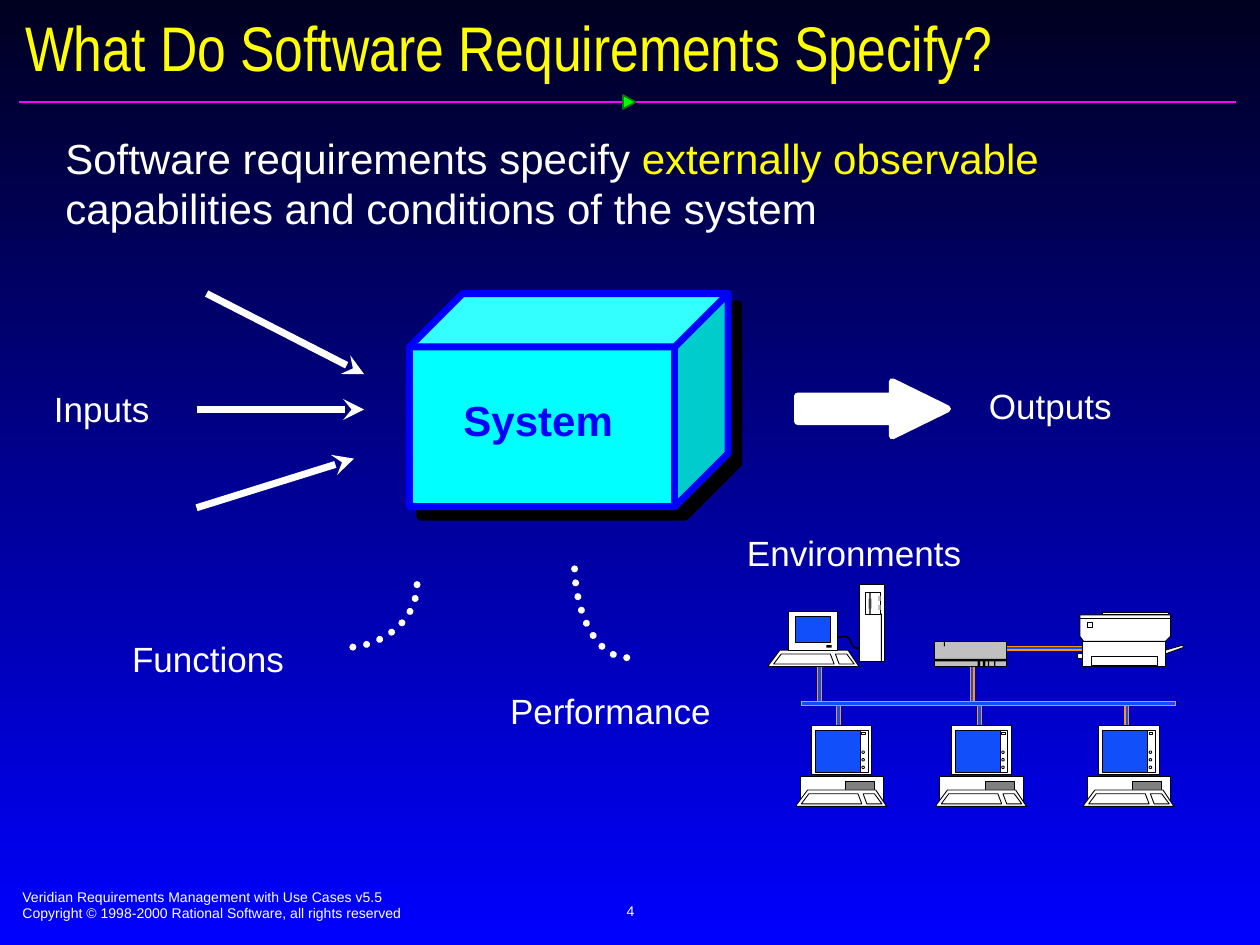
from lxml import etree
from pptx import Presentation
from pptx import util as u
from pptx.dml.color import RGBColor
from pptx.enum import dml, shapes, text
from pptx.oxml.ns import qn

# The slide is a grid of 100 columns by 75 rows; all lengths are in cells
CELL = u.Inches(0.1)
KIND = shapes.MSO_SHAPE
WHITE, BLACK, YELLOW, BLUE = "FFFFFF", "000000", "FFFF00", "0000FF"
SCREEN, ORANGE, SILVER, GRAY = "114FFB", "FF9900", "C0C0C0", "808080"


def cells(*values):
    return [u.Emu(round(v * CELL)) for v in values]


def rgb(code):
    return RGBColor.from_string(code)


def paint(shape, fill=None, line=None, width=0.5):
    shape.shadow.inherit = False
    if fill:
        shape.fill.solid()
        shape.fill.fore_color.rgb = rgb(fill)
    else:
        shape.fill.background()
    if line:
        shape.line.color.rgb = rgb(line)
        shape.line.width = u.Pt(width)
    else:
        shape.line.fill.background()
    return shape


def block(parent, box, fill=WHITE, line=BLACK, width=0.5, kind=KIND.RECTANGLE):
    return paint(parent.shapes.add_shape(kind, *cells(*box)), fill, line, width)


def outline(parent, points, fill=WHITE, line=BLACK, width=0.5, origin=(0, 0), close=True):
    corners = [cells(origin[0] + x, origin[1] + y) for x, y in points]
    builder = parent.shapes.build_freeform(*corners[0], scale=1.0)
    builder.add_line_segments(corners[1:], close=close)
    return paint(builder.convert_to_shape(), fill, line, width)


def rule(parent, start, end, color, width, arrow=False):
    line = parent.shapes.add_connector(
        shapes.MSO_CONNECTOR.STRAIGHT, *cells(*start, *end))
    line.line.color.rgb = rgb(color)
    line.line.width = u.Pt(width)
    if arrow:
        etree.SubElement(line.line._get_or_add_ln(), qn("a:tailEnd"), type="stealth")
    etree.SubElement(line._element.spPr, qn("a:effectLst"))


def write(paragraph, runs, size, font="Arial", bold=False):
    for words, color in runs:
        run = paragraph.add_run()
        run.text = words
        run.font.size, run.font.name, run.font.bold = u.Pt(size), font, bold
        run.font.color.rgb = rgb(color)


def label(slide, box, lines, size=20, wrap=False, bold=False):
    frame = slide.shapes.add_textbox(*cells(*box)).text_frame
    frame.word_wrap = wrap
    for i, runs in enumerate(lines):
        paragraph = frame.add_paragraph() if i else frame.paragraphs[0]
        write(paragraph, runs, size, bold=bold)
    return frame


def dotted_arc(slide, box, start, end):
    arc = block(slide, box, None, WHITE, 4, KIND.ARC)
    # Angles are in 60000ths of a degree, adjustments in 100000ths
    arc.adjustments[0], arc.adjustments[1] = start * 0.6, end * 0.6
    arc.line.dash_style = dml.MSO_LINE.ROUND_DOT
    arc.line._get_or_add_ln().set("cap", "rnd")


def keyboard(group, x, y):
    for points in (
            [(0.9, 0), (6.3, 0), (7.1, 1.2), (7.2, 1.3), (0, 1.3), (0, 1.2)],
            [(1, 0.3), (4.9, 0.3), (5.2, 1.1), (0.4, 1.1)],
            [(5.3, 0.3), (6.2, 0.3), (6.8, 1.1), (5.6, 1.1)]):
        outline(group, points, origin=(x, y))


def workstation(slide, x, y):
    group = slide.shapes.add_group_shape()
    block(group, (x + 0.3, y + 4, 6.6, 2))
    block(group, (x + 3.9, y + 4.4, 2.3, 0.9), GRAY)
    keyboard(group, x, y + 5.1)
    block(group, (x + 1.2, y, 4.8, 3.9))
    block(group, (x + 1.5, y + 0.4, 4.1, 3.3), SCREEN)
    block(group, (x + 5.1, y + 0.4, 0.6, 3.3))
    block(group, (x + 5.2, y + 0.5, 0.3, 0.2))
    for knob in range(3):
        block(group, (x + 5.2, y + 2 + 0.6 * knob, 0.2, 0.2), kind=KIND.OVAL)


def hub(slide):
    group = slide.shapes.add_group_shape()
    block(group, (74.2, 50.9, 5.7, 2), SILVER)
    block(group, (74.2, 52.3, 5.7, 0.2), BLACK, None)
    for x, width in ((77.6, 0.2), (78, 0.2), (78.4, 0.1), (78.9, 0.1)):
        block(group, (x, 52.4, width, 0.5), BLACK, None)
    block(group, (74.9, 50.8, 0.1, 0.5), BLACK, None)


def printer(slide):
    group = slide.shapes.add_group_shape()
    block(group, (85.9, 50.9, 6.6, 2))
    block(group, (86.6, 52.1, 5.3, 0.7))
    outline(group, [(85.7, 50.5), (86, 50.9), (92.5, 50.9),
                    (92.9, 50.5), (92.9, 48.8), (85.7, 48.8)])
    block(group, (85.5, 51.9, 0.4, 0.4))
    rule(group, (85.7, 49.1), (93, 49.1), BLACK, 0.5)
    block(group, (87.5, 48.6, 5.2, 0.2))
    outline(group, [(92.5, 51.6), (93.9, 51.2), (93.9, 51.4), (92.5, 51.9)])
    block(group, (86.3, 49.4, 0.4, 0.4))


def server(slide):
    group = slide.shapes.add_group_shape()
    outline(group, [(66.4, 50.6), (67.1, 50.5), (67.3, 50.6), (67.4, 50.7),
                    (67.6, 51.1), (67.8, 51.4), (68.4, 51.5)],
            fill=None, width=0.88, close=False)
    keyboard(group, 61, 51.6)
    block(group, (62.6, 48.5, 3.9, 3.1))
    block(group, (63.1, 48.9, 2.8, 2.1), SCREEN)
    block(group, (65.6, 51.2, 0.4, 0.2), BLACK, None)
    # Tower with its drive bay
    block(group, (68.2, 46.4, 2, 6.1))
    block(group, (68.7, 47, 1.2, 1.8))
    for box, color in (((69.9, 48.7, 0.1, 3.9), BLACK), ((68.9, 47.5, 0.3, 0.8), SILVER),
                       ((69, 47, 0.1, 1.8), BLACK), ((69.7, 47.3, 0.2, 0.4), SILVER),
                       ((69.7, 48, 0.2, 0.4), SILVER)):
        block(group, box, color, None)


def network(slide):
    # Cables: drops below and above the bus, the printer link, the bus itself
    drops = [(x, 55.8, 0.3, 3.3) for x in (89.3, 77.6, 66.4)]
    rises = [(x, 52.6, 0.3, 3.2) for x in (77, 64.9)]
    for box in drops + rises + [(78.3, 51.3, 8.1, 0.3), (63.6, 55.7, 29.7, 0.3)]:
        block(slide, box, SCREEN, ORANGE, 0.75)
    hub(slide)
    printer(slide)
    server(slide)
    for x in (63.2, 74.3, 86):
        workstation(slide, x, 57.6)


def system(slide):
    cube = block(slide, (32.5, 23.3, 25.3, 16.9), "00FFFF", BLUE, 4, KIND.CUBE)
    cube.adjustments[0] = 0.25
    effects = cube._element.spPr.find(qn("a:effectLst"))
    shadow = etree.SubElement(effects, qn("a:outerShdw"), dist=str(u.Pt(8.5)),
                              dir=str(45 * 60000), algn="ctr", rotWithShape="0")
    etree.SubElement(shadow, qn("a:srgbClr"), val=BLACK)
    label(slide, (35.8, 30.8, 13.9, 5), [[("System", BLUE)]], 24, bold=True)


def frame_slide(slide):
    # Background, footer, page number and title with its rule
    fill = slide.background.fill
    fill.gradient()
    fill.gradient_angle = 270
    for stop, color in zip(fill.gradient_stops, ("000021", BLUE)):
        stop.color.rgb = rgb(color)
    label(slide, (0.8, 70, 51, 3.7), [
        [("Veridian Requirements Management with Use Cases v5.5", WHITE)],
        [("Copyright © 1998-2000 Rational Software, all rights reserved", WHITE)]],
        8, wrap=True)
    page = label(slide, (34.2, 69.8, 31.7, 5), [[("4", WHITE)]], 8, wrap=True)
    page.vertical_anchor = text.MSO_ANCHOR.MIDDLE
    page.paragraphs[0].alignment = text.PP_ALIGN.CENTER
    rule(slide, (1.5, 8.1), (98.1, 8.1), "FF01FF", 1)
    block(slide, (49.4, 7.6, 1.1, 1), "00FF00", "037C03", 1,
          KIND.ISOSCELES_TRIANGLE).rotation = 90

    title = slide.shapes.title
    title.left, title.top, title.width, title.height = cells(1, 1.4, 98.4, 5.8)
    title.text_frame.auto_size = text.MSO_AUTO_SIZE.NONE
    title.text_frame.vertical_anchor = text.MSO_ANCHOR.MIDDLE
    heading = title.text_frame.paragraphs[0]
    heading.alignment, heading.line_spacing = text.PP_ALIGN.LEFT, u.Pt(34)
    write(heading, [("What Do Software Requirements Specify?", YELLOW)], 36, "Arial Narrow")


def main():
    deck = Presentation()
    deck.slide_width, deck.slide_height = cells(100, 75)
    slide = deck.slides.add_slide(deck.slide_layouts[5])
    frame_slide(slide)
    system(slide)

    # Inputs and outputs
    for start, end in (((15.6, 40.3), (28.1, 36.4)), ((15.6, 32.5), (28.9, 32.5)),
                       ((16.4, 23.3), (28.9, 29.7))):
        rule(slide, start, end, WHITE, 4, arrow=True)
    output = block(slide, (63.3, 30.3, 11.9, 4.3), WHITE, WHITE, 4, KIND.RIGHT_ARROW)
    output.adjustments[0], output.adjustments[1] = 0.47, 1.02

    # Aspects around the system
    for words, x, y, width in (("Inputs", 3.3, 30.3, 9.6), ("Outputs", 77.5, 30, 11.8),
                               ("Functions", 9.5, 50.1, 14.1),
                               ("Performance", 39.5, 54.2, 18),
                               ("Environments", 58.3, 41.7, 19)):
        label(slide, (x, y, width, 4.3), [[(words, WHITE)]])
    dotted_arc(slide, (21.4, 41.4, 11.7, 10), 0, 90)
    dotted_arc(slide, (45.6, 37.2, 8.3, 15), 90, 180)
    network(slide)

    label(slide, (4.2, 10, 89.2, 8.9), [[
        ("Software requirements specify ", WHITE), ("externally observable", YELLOW),
        (" capabilities and conditions of the system", WHITE)]], 24, wrap=True)
    deck.save("out.pptx")


if __name__ == "__main__":
    main()
